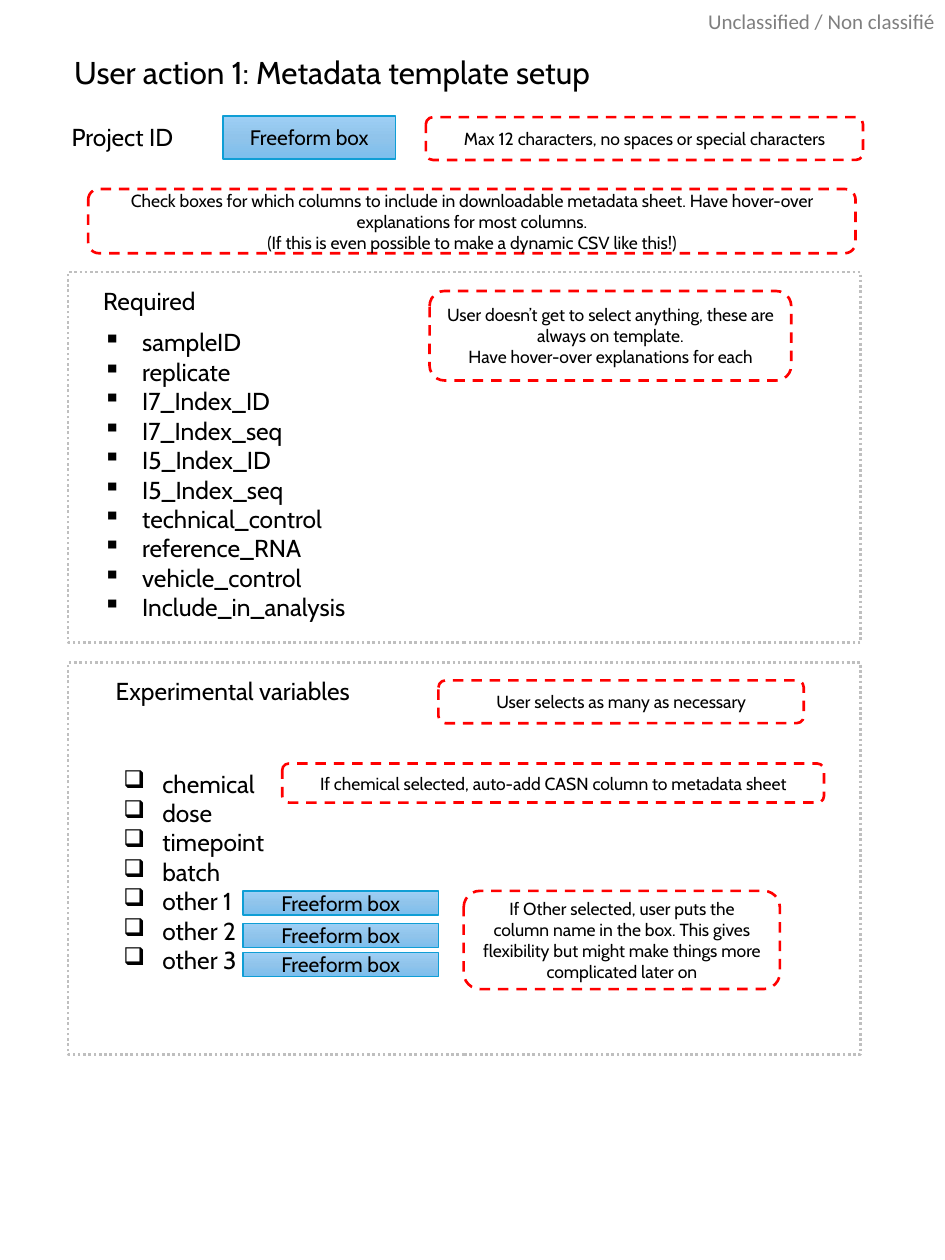
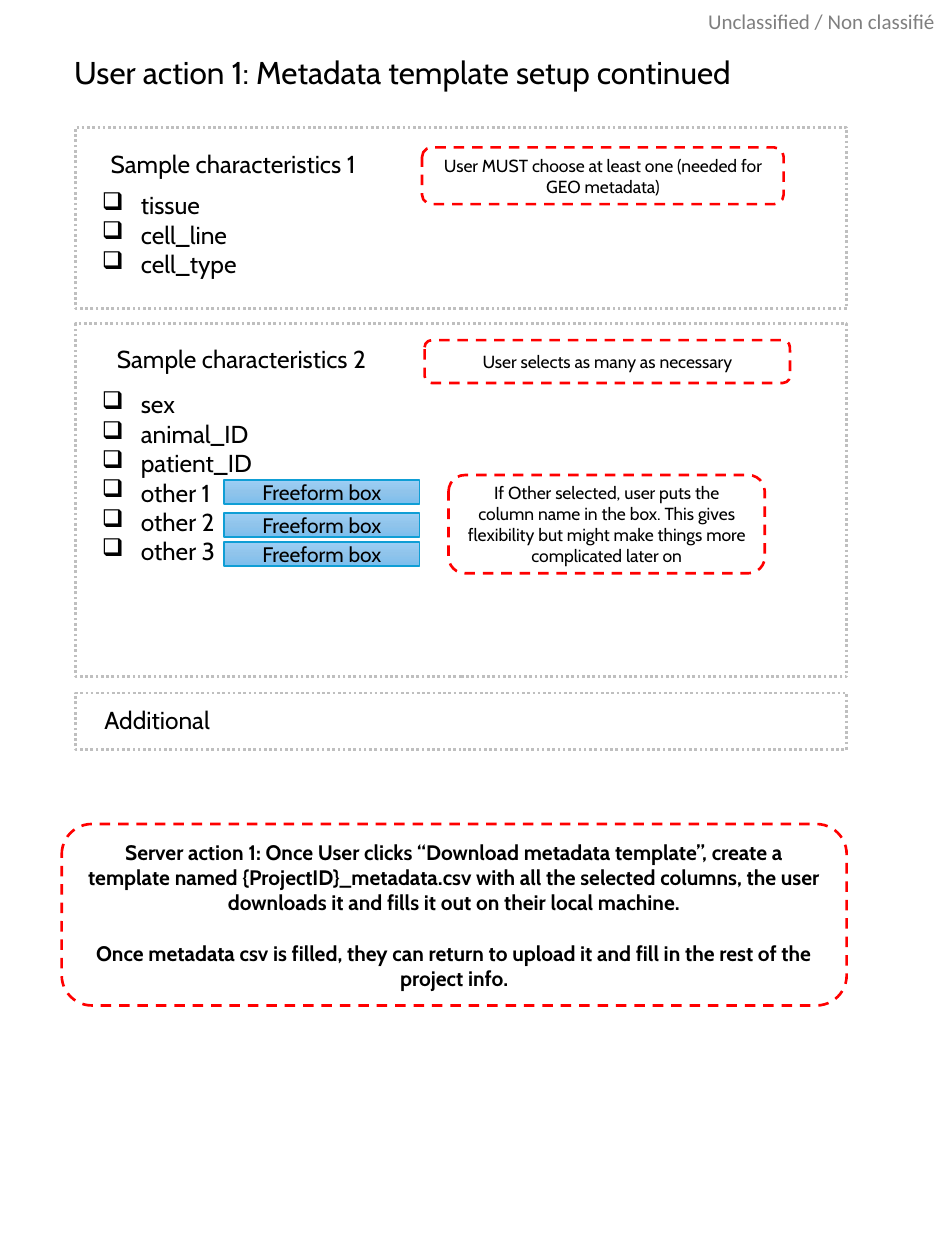
from copy import deepcopy
from dataclasses import dataclass
from typing import NamedTuple

from lxml import etree
from pptx import Presentation
from pptx import util as u
from pptx.dml.color import RGBColor
from pptx.enum import dml, shapes, text
from pptx.oxml import ns

HUES = {
    "ink": "000000", "stamp": "7F7F7F", "frame": "BFBFBF", "note": "FF0000",
    "edge": "0F9ED5", "top": "9ECFF5", "mid": "90C4EB", "low": "7CBEED",
}
FACE = "Cabin"
SQUARE, CHECK = "▪", "❑"
INDENT = 0.31
CENTER = text.PP_ALIGN.CENTER
RECT = shapes.MSO_SHAPE.RECTANGLE
ROUND = shapes.MSO_SHAPE.ROUNDED_RECTANGLE
DOTS = dml.MSO_LINE.ROUND_DOT
DASH = dml.MSO_LINE.DASH


class Area(NamedTuple):
    x: float
    y: float
    w: float
    h: float


class Note(NamedTuple):
    area: Area
    lines: list[str]
    size: float = 10
    bold: bool = False
    gap: float = 0


class Label(NamedTuple):
    area: Area
    words: str
    wrap: bool = True


class Items(NamedTuple):
    area: Area
    mark: str
    lines: list[str]


@dataclass
class Page:
    title: Label
    panels: list[Area]
    labels: list[Label]
    lists: list[Items]
    fields: list[Area]
    notes: list[Note]


def hue(name: str) -> RGBColor:
    return RGBColor.from_string(HUES[name])


def inches(area: Area) -> list[int]:
    return [u.Inches(side) for side in area]


# Text
def write(frame, lines: list[str], *, size: float = 14, face: str = FACE,
          color: str = "ink", bold: bool = False, align=None,
          mark: str = "", gap: float = 0, wrap: bool = True) -> None:
    frame.word_wrap = wrap
    for n, line in enumerate(lines):
        para = frame.paragraphs[0] if n == 0 else frame.add_paragraph()
        if mark:
            props = para._p.get_or_add_pPr()
            props.set("marL", str(u.Inches(INDENT)))
            props.set("indent", str(-u.Inches(INDENT)))
            etree.SubElement(props, ns.qn("a:buChar")).set("char", mark)
        if align is not None:
            para.alignment = align
        if n and gap:
            para.space_before = u.Pt(gap)
        run = para.add_run()
        run.text = line
        run.font.size, run.font.name = u.Pt(size), face
        run.font.bold = bold
        run.font.color.rgb = hue(color)


def add_text(slide, area: Area, lines: list[str], inset: bool = True, **style) -> None:
    frame = slide.shapes.add_textbox(*inches(area)).text_frame
    if not inset:
        frame.margin_left = frame.margin_right = 0
        frame.margin_top = frame.margin_bottom = 0
    write(frame, lines, **style)
    frame.auto_size = text.MSO_AUTO_SIZE.SHAPE_TO_FIT_TEXT


# Shapes
def add_box(slide, area: Area, kind, color: str, width: float, dash=None):
    box = slide.shapes.add_shape(kind, *inches(area))
    box.shadow.inherit = False
    box.fill.background()
    box.line.color.rgb = hue(color)
    box.line.width = u.Pt(width)
    if dash is not None:
        box.line.dash_style = dash
    box.text_frame.vertical_anchor = text.MSO_ANCHOR.MIDDLE
    return box


def add_note(slide, note: Note) -> None:
    box = add_box(slide, note.area, ROUND, "note", 1.5, DASH)
    write(box.text_frame, note.lines, size=note.size, bold=note.bold,
          align=CENTER, gap=note.gap)


def add_field(slide, area: Area) -> None:
    box = add_box(slide, area, RECT, "edge", 1)
    box.fill.gradient()
    box.fill.gradient_angle = 270
    stops = box._element.spPr.find(".//" + ns.qn("a:gsLst"))
    stops.append(deepcopy(stops[-1]))
    for stop, name, place in zip(box.fill.gradient_stops,
                                 ("top", "mid", "low"), (0, 0.5, 1)):
        stop.color.rgb = hue(name)
        stop.position = place
    write(box.text_frame, ["Freeform box"], size=12, align=CENTER)


def draw(deck, page: Page) -> None:
    slide = deck.slides.add_slide(deck.slide_layouts[6])
    add_text(slide, Area(5.62, 0.07, 1.84, 0.2), ["Unclassified / Non classifié"],
             inset=False, size=12, face="Calibri", color="stamp")
    add_text(slide, page.title.area, [page.title.words], size=18, wrap=False)
    for area in page.panels:
        add_box(slide, area, RECT, "frame", 1.5, DOTS)
    for label in page.labels:
        add_text(slide, label.area, [label.words], wrap=label.wrap)
    for items in page.lists:
        add_text(slide, items.area, items.lines, mark=items.mark)
    for area in page.fields:
        add_field(slide, area)
    for note in page.notes:
        add_note(slide, note)


# Parts used on both pages
OTHERS = [f"other {n}" for n in (1, 2, 3)]
MANY = ["User selects as many as necessary"]
FLEX = ["If Other selected, user puts the column name in the box. This gives "
        "flexibility but might make things more complicated later on"]


def fields(x: float, y: float) -> list[Area]:
    return [Area(x, y + drop, 1.55, 0.19) for drop in (0, 0.26, 0.49)]


# Pages
SETUP = Page(
    title=Label(Area(0.49, 0.37, 4.51, 0.4), "User action 1: Metadata template setup"),
    panels=[Area(0.54, 2.16, 6.29, 2.94), Area(0.54, 5.26, 6.29, 3.11)],
    labels=[
        Label(Area(0.47, 0.92, 1.03, 0.34), "Project ID", wrap=False),
        Label(Area(0.72, 2.22, 1.08, 0.34), "Required"),
        Label(Area(0.82, 5.32, 2.32, 0.34), "Experimental variables"),
    ],
    lists=[
        Items(Area(0.72, 2.55, 2.24, 2.46), SQUARE, [
            "sampleID", "replicate", "I7_Index_ID", "I7_Index_seq", "I5_Index_ID",
            "I5_Index_seq", "technical_control", "reference_RNA",
            "vehicle_control", "Include_in_analysis"]),
        Items(Area(0.88, 6.05, 1.51, 1.99), CHECK,
              ["chemical", "dose", "timepoint", "batch", *OTHERS]),
    ],
    fields=[Area(1.77, 0.92, 1.37, 0.34), *fields(1.93, 7.07)],
    notes=[
        Note(Area(3.38, 0.93, 3.47, 0.34),
             ["Max 12 characters, no spaces or special characters"]),
        Note(Area(0.7, 1.5, 6.09, 0.51), [
            "Check boxes for which columns to include in downloadable metadata "
            "sheet. Have hover-over explanations for most columns.",
            "(If this is even possible to make a dynamic CSV like this!)"]),
        Note(Area(3.41, 2.31, 2.87, 0.71), [
            "User doesn’t get to select anything, these are always on template.",
            "Have hover-over explanations for each"]),
        Note(Area(3.48, 5.4, 2.9, 0.34), MANY),
        Note(Area(2.24, 6.06, 4.3, 0.31),
             ["If chemical selected, auto-add CASN column to metadata sheet"]),
        Note(Area(3.68, 7.07, 2.51, 0.78), FLEX),
    ],
)

MORE = Page(
    title=Label(Area(0.49, 0.37, 5.66, 0.4),
                "User action 1: Metadata template setup continued"),
    panels=[Area(0.6, y, 6.12, h) for y, h in ((1.01, 1.44), (2.57, 2.8), (5.5, 0.45))],
    labels=[
        Label(Area(0.78, 1.13, 2.57, 0.34), "Sample characteristics 1"),
        Label(Area(0.83, 2.68, 2.6, 0.34), "Sample characteristics 2"),
        Label(Area(0.73, 5.55, 2.6, 0.34), "Additional"),
    ],
    lists=[
        Items(Area(0.71, 1.46, 1.44, 1.04), CHECK, ["tissue", "cell_line", "cell_type"]),
        Items(Area(0.71, 3.04, 1.57, 1.99), CHECK,
              ["sex", "animal_ID", "patient_ID", *OTHERS]),
    ],
    fields=fields(1.78, 3.81),
    notes=[
        Note(Area(3.35, 1.17, 2.87, 0.45),
             ["User MUST choose at least one (needed for GEO metadata)"]),
        Note(Area(3.37, 2.7, 2.9, 0.34), MANY),
        Note(Area(3.56, 3.77, 2.51, 0.78), FLEX),
        Note(Area(0.49, 6.54, 6.23, 1.44), [
            "Server action 1: Once User clicks “Download metadata template”, create "
            "a template named {ProjectID}_metadata.csv with all the selected "
            "columns, the user downloads it and fills it out on their local machine.",
            "Once metadata csv is filled, they can return to upload it and fill in "
            "the rest of the project info."], size=12, bold=True, gap=14.5),
    ],
)


def main() -> None:
    deck = Presentation()
    deck.slide_width, deck.slide_height = u.Inches(7.5), u.Inches(10)
    for page in (SETUP, MORE):
        draw(deck, page)
    deck.save("out.pptx")


if __name__ == "__main__":
    main()
